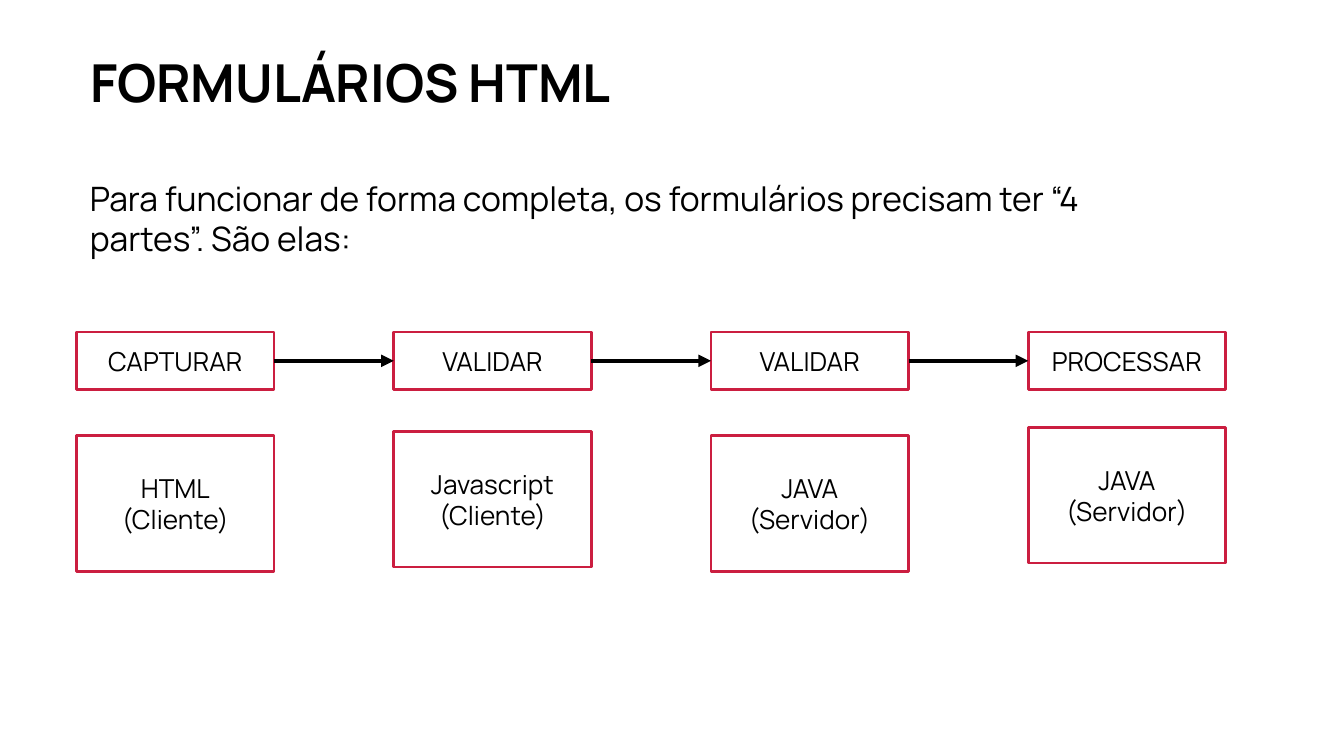
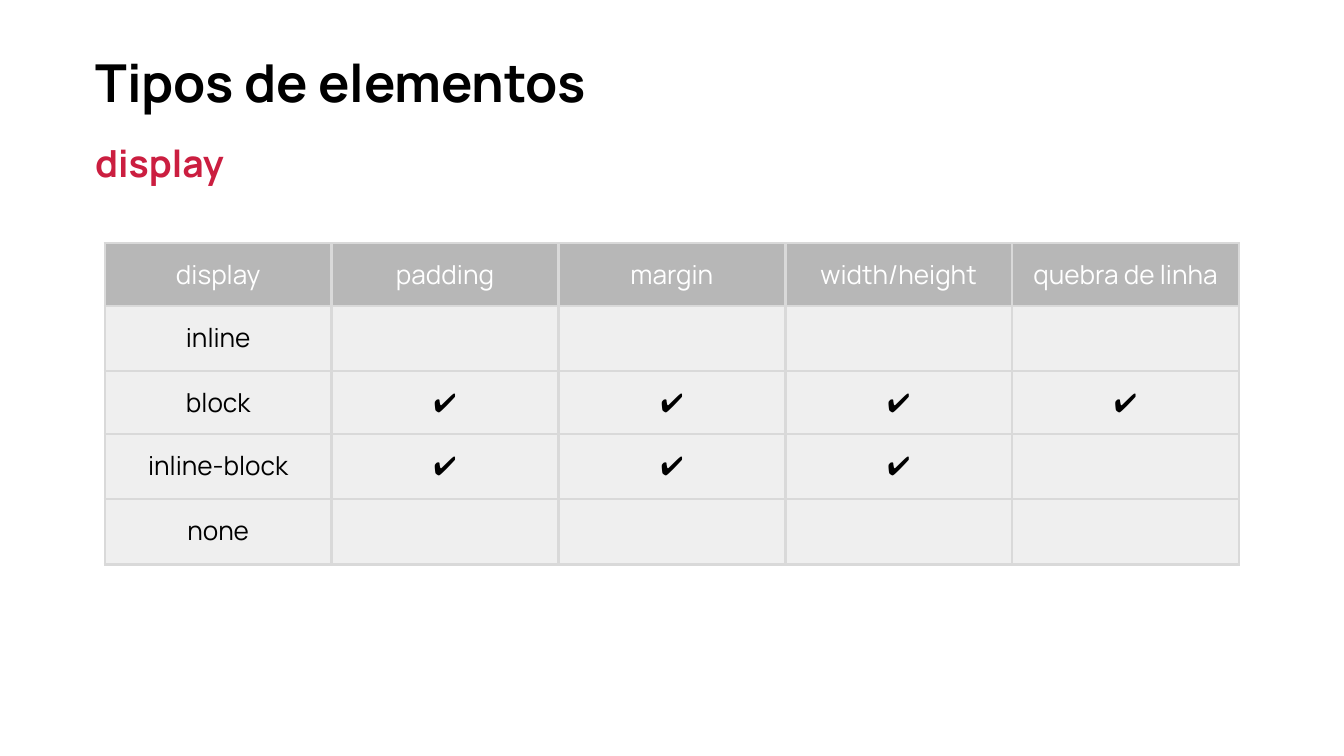
"""Builds two slides on HTML forms and display types."""
import dataclasses
import itertools
import typing

import pptx
import pptx.dml.color
import pptx.enum.shapes
import pptx.enum.text
import pptx.oxml
import pptx.oxml.ns
import pptx.slide
import pptx.text.text
import pptx.util

Inches = pptx.util.Inches
Pt = pptx.util.Pt
Anchor = pptx.enum.text.MSO_ANCHOR
Align = pptx.enum.text.PP_ALIGN


@dataclasses.dataclass(frozen=True)
class Theme:
    font: str = "Manrope"
    ink: str = "000000"
    red: str = "CB1E40"
    white: str = "FFFFFF"
    head: str = "B7B7B7"
    cell: str = "EFEFEF"
    rule: str = "D9D9D9"
    title: int = 28
    sub: int = 20
    body: int = 18
    blank: int = 15
    small: int = 14
    edge: float = 1.5
    arrow: float = 2.25


@dataclasses.dataclass(frozen=True)
class Area:
    left: float
    top: float
    width: float
    height: float

    def place(self) -> tuple[int, ...]:
        return tuple(Inches(n) for n in dataclasses.astuple(self))


@dataclasses.dataclass(frozen=True)
class Step:
    label: str
    tech: str
    side: str
    top: float


THEME = Theme()
STEPS = (
    Step("CAPTURAR", "HTML", "(Cliente)", 3.24),
    Step("VALIDAR", "Javascript", "(Cliente)", 3.21),
    Step("VALIDAR", "JAVA", "(Servidor)", 3.24),
    Step("PROCESSAR", "JAVA", "(Servidor)", 3.18),
)
STEP_LEFT, STEP_PITCH, STEP_WIDTH = 0.57, 2.36, 1.47
HEADS = ("display", "padding", "margin", "width/height", "quebra de linha")
CHECKS = {"inline": 0, "block": 4, "inline-block": 3, "none": 0}


def color(code: str) -> pptx.dml.color.RGBColor:
    return pptx.dml.color.RGBColor.from_string(code)


def write(frame: pptx.text.text.TextFrame, text: str, *, size: int = THEME.small,
          ink: str = THEME.ink, bold: bool = False, align: Align = Align.LEFT) -> None:
    """Fills a frame with one paragraph per line of text."""
    for i, line in enumerate(text.split("\n")):
        para = frame.add_paragraph() if i else frame.paragraphs[0]
        para.alignment = align
        if line:
            run = para.add_run()
            run.text = line
            font = run.font
        else:
            font = pptx.text.text.Font(para._p.get_or_add_endParaRPr())
        font.name, font.size, font.bold = THEME.font, Pt(size), bold
        font.color.rgb = color(ink)


def setup(frame: pptx.text.text.TextFrame, anchor: Anchor) -> None:
    """Sets wrapping, insets and anchor of a frame."""
    frame.word_wrap = True
    frame.auto_size = pptx.enum.text.MSO_AUTO_SIZE.NONE
    frame.vertical_anchor = anchor
    frame.margin_left = frame.margin_right = Inches(0.1)
    frame.margin_top = frame.margin_bottom = Inches(0.1)


def start(deck: typing.Any, text: str, left: float) -> pptx.slide.Slide:
    """Adds a slide with its title."""
    slide = deck.slides.add_slide(deck.slide_layouts[5])
    title = slide.shapes.title
    title.left, title.top, title.width, title.height = Area(left, 0.03, 7.34, 0.91).place()
    setup(title.text_frame, Anchor.BOTTOM)
    write(title.text_frame, text, size=THEME.title, bold=True)
    return slide


def note(slide: pptx.slide.Slide, area: Area, text: str, **style: typing.Any) -> None:
    """Adds a plain text box."""
    frame = slide.shapes.add_textbox(*area.place()).text_frame
    setup(frame, Anchor.TOP)
    write(frame, text, **style)


def box(slide: pptx.slide.Slide, area: Area, text: str, anchor: Anchor) -> typing.Any:
    """Adds a red outlined box."""
    shape = slide.shapes.add_shape(pptx.enum.shapes.MSO_SHAPE.RECTANGLE, *area.place())
    shape.shadow.inherit = False
    shape.fill.background()
    shape.line.color.rgb = color(THEME.red)
    shape.line.width = Pt(THEME.edge)
    setup(shape.text_frame, anchor)
    write(shape.text_frame, text, align=Align.CENTER)
    return shape


def link(slide: pptx.slide.Slide, first: typing.Any, last: typing.Any) -> None:
    """Joins two boxes with an arrow."""
    line = slide.shapes.add_connector(pptx.enum.shapes.MSO_CONNECTOR.STRAIGHT, 0, 0, 0, 0)
    line.begin_connect(first, 3)
    line.end_connect(last, 1)
    line.line.color.rgb = color(THEME.ink)
    line.line.width = Pt(THEME.arrow)
    names = pptx.oxml.ns.nsdecls("a")
    line.line._get_or_add_ln().append(
        pptx.oxml.parse_xml(f'<a:tailEnd {names} type="triangle"/>'))
    line._element.spPr.append(pptx.oxml.parse_xml(f"<a:effectLst {names}/>"))


def paint(cell: typing.Any, text: str, fill: str, ink: str) -> None:
    """Formats a table cell and its borders."""
    cell.margin_left = cell.margin_right = Inches(0.1)
    cell.margin_top = cell.margin_bottom = Inches(0.1)
    for side in "LRTB":
        cell._tc.get_or_add_tcPr().append(pptx.oxml.parse_xml(
            f'<a:ln{side} {pptx.oxml.ns.nsdecls("a")} w="{Pt(THEME.edge)}"><a:solidFill>'
            f'<a:srgbClr val="{THEME.rule}"/></a:solidFill></a:ln{side}>'))
    cell.fill.solid()
    cell.fill.fore_color.rgb = color(fill)
    size = THEME.small if text else THEME.blank
    write(cell.text_frame, text, size=size, ink=ink, align=Align.CENTER)


def forms(deck: typing.Any) -> None:
    """Draws the four steps of a form."""
    slide = start(deck, "FORMULÁRIOS HTML", 0.57)
    note(slide, Area(0.57, 1.22, 8.28, 1.01),
         "Para funcionar de forma completa, os formulários precisam ter “4 partes”. São elas:",
         size=THEME.body)
    labels = []
    for i, step in enumerate(STEPS):
        left = STEP_LEFT + i * STEP_PITCH
        labels.append(box(slide, Area(left, 2.47, STEP_WIDTH, 0.43), step.label, Anchor.TOP))
        box(slide, Area(left, step.top, STEP_WIDTH, 1.01),
            f"{step.tech}\n{step.side}", Anchor.MIDDLE)
    for first, last in itertools.pairwise(labels):
        link(slide, first, last)


def types(deck: typing.Any) -> None:
    """Draws the table of display types."""
    slide = start(deck, "Tipos de elementos", 0.61)
    note(slide, Area(0.61, 0.94, 3.86, 0.58), "display",
         size=THEME.sub, ink=THEME.red, bold=True)
    marks = len(HEADS) - 1
    rows = [HEADS] + [(name, *("✔" if i < count else "" for i in range(marks)))
                      for name, count in CHECKS.items()]
    area = Area(0.78, 1.81, 8.44, 2.13)
    table = slide.shapes.add_table(len(rows), len(HEADS), *area.place()).table
    for r, row in enumerate(rows):
        fill, ink = (THEME.cell, THEME.ink) if r else (THEME.head, THEME.white)
        for c, text in enumerate(row):
            paint(table.cell(r, c), text, fill, ink)


def main() -> None:
    """Builds and saves the deck."""
    deck = pptx.Presentation()
    deck.slide_width = Inches(10)
    deck.slide_height = deck.slide_width * 9 // 16
    forms(deck)
    types(deck)
    deck.save("out.pptx")


if __name__ == "__main__":
    main()
